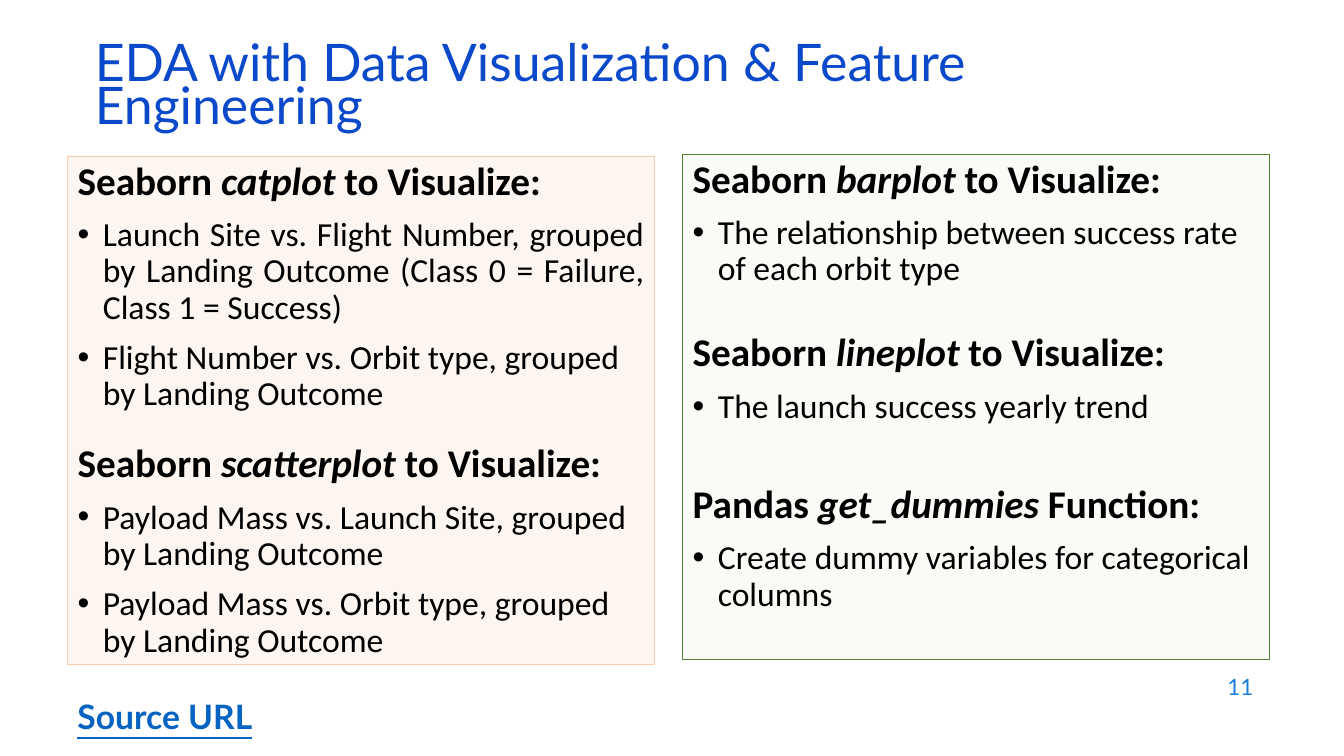
from lxml.etree import SubElement
from pptx import Presentation
from pptx.dml.color import RGBColor
from pptx.enum.text import MSO_ANCHOR, MSO_AUTO_SIZE, PP_ALIGN
from pptx.oxml.ns import qn
from pptx.util import Inches, Pt

TITLE_BLUE = RGBColor(0x0B, 0x49, 0xCB)
NUMBER_BLUE = RGBColor(0x1C, 0x7D, 0xDB)
LINK_BLUE = RGBColor(0x05, 0x63, 0xC1)
BLACK = RGBColor(0x00, 0x00, 0x00)
PEACH = RGBColor(0xFB, 0xE5, 0xD6)
PEACH_EDGE = RGBColor(0xF8, 0xCB, 0xAD)
MINT = RGBColor(0xE2, 0xF0, 0xD9)
GREEN_EDGE = RGBColor(0x54, 0x82, 0x35)

# Each section: space before, heading runs (plain, italic, plain), bullets
CATEGORY_SECTIONS = [
    (0, ("Seaborn ", "catplot", " to Visualize:"), [
        "Launch Site vs. Flight Number, grouped by Landing Outcome "
        "(Class 0 = Failure, Class 1 = Success)",
        "Flight Number vs. Orbit type, grouped by Landing Outcome"]),
    (22, ("Seaborn ", "scatterplot", " to Visualize:"), [
        "Payload Mass vs. Launch Site, grouped by Landing Outcome",
        "Payload Mass vs. Orbit type, grouped by Landing Outcome"]),
]
TREND_SECTIONS = [
    (0, ("Seaborn ", "barplot", " to Visualize:"), [
        "The relationship between success rate of each orbit type"]),
    (32, ("Seaborn ", "lineplot", " to Visualize:"), [
        "The launch success yearly trend"]),
    (42, ("Pandas ", "get_dummies ", "Function:"), [
        "Create dummy variables for categorical columns"]),
]


class SlideBuilder:
    heading_font = "Lato"
    body_font = "Calibri"
    heading_size = 28
    bullet_size = 24

    def __init__(self, slide):
        self.slide = slide

    def place(self, shape, left, top, width, height, anchor=MSO_ANCHOR.TOP):
        shape.left, shape.top = Inches(left), Inches(top)
        shape.width, shape.height = Inches(width), Inches(height)
        frame = shape.text_frame
        frame.word_wrap = True
        frame.auto_size = MSO_AUTO_SIZE.NONE
        frame.vertical_anchor = anchor
        return frame

    def add_run(self, paragraph, text, font, size, color,
                bold=False, italic=False, underline=False):
        run = paragraph.add_run()
        run.text = text
        run.font.name = font
        run.font.size = Pt(size)
        run.font.color.rgb = color
        run.font.bold = bold
        run.font.italic = italic
        run.font.underline = underline

    def title(self, text, *box):
        frame = self.place(self.slide.shapes.title, *box, MSO_ANCHOR.MIDDLE)
        line = frame.paragraphs[0]
        line.alignment = PP_ALIGN.LEFT
        line.line_spacing = 0.7
        self.add_run(line, text, self.heading_font, 37, TITLE_BLUE)

    def label(self, text, box, size, color, align=PP_ALIGN.LEFT,
              anchor=MSO_ANCHOR.TOP, spacing=1.0, **style):
        holder = self.slide.shapes.add_textbox(0, 0, 0, 0)
        line = self.place(holder, *box, anchor).paragraphs[0]
        line.alignment = align
        line.line_spacing = spacing
        self.add_run(line, text, self.heading_font, size, color, **style)

    def list_line(self, frame, space_before, bulleted):
        first = frame.paragraphs[0]
        line = frame.add_paragraph() if first.runs else first
        line.alignment = PP_ALIGN.LEFT
        line.line_spacing = 0.9
        line.space_before = Pt(space_before)
        properties = line._p.get_or_add_pPr()
        indent = Inches(0.25) if bulleted else 0
        properties.set("marL", str(indent))
        properties.set("indent", str(-indent))
        if bulleted:
            SubElement(properties, qn("a:buFont"), typeface="Arial")
            SubElement(properties, qn("a:buChar"), char="•")
        else:
            SubElement(properties, qn("a:buNone"))
        return line

    def panel(self, body, box, fill, opacity, edge, sections):
        frame = self.place(body, *box)
        body.fill.solid()
        body.fill.fore_color.rgb = fill
        tint = body._element.spPr.find(qn("a:solidFill"))[0]
        SubElement(tint, qn("a:alpha"), val=str(opacity * 1000))
        body.line.color.rgb = edge
        body.line.width = Pt(0.75)
        for gap, heading, bullets in sections:
            line = self.list_line(frame, gap, False)
            for position, words in enumerate(heading):
                self.add_run(line, words, self.body_font, self.heading_size,
                             BLACK, bold=True, italic=position == 1)
            for bullet in bullets:
                line = self.list_line(frame, 10, True)
                self.add_run(line, bullet, self.body_font,
                             self.bullet_size, BLACK)


def main():
    deck = Presentation()
    deck.slide_width, deck.slide_height = Inches(13.33), Inches(7.5)
    slide = deck.slides.add_slide(deck.slide_layouts.get_by_name("Two Content"))
    builder = SlideBuilder(slide)
    category_body, trend_body = list(slide.placeholders)[1:3]

    # Title
    builder.title("EDA with Data Visualization & Feature Engineering",
                  0.84, 0.59, 11.5, 0.6)

    # Two panels of plots and functions
    builder.panel(category_body, (0.67, 1.55, 5.82, 5.04),
                  PEACH, 37, PEACH_EDGE, CATEGORY_SECTIONS)
    builder.panel(trend_body, (6.77, 1.53, 5.82, 5.01),
                  MINT, 23, GREEN_EDGE, TREND_SECTIONS)
    # The first bullet is the only justified one
    category_body.text_frame.paragraphs[1].alignment = PP_ALIGN.JUSTIFY

    # Footer: source label and page number
    builder.label("Source URL", (0.67, 6.65, 2.08, 0.7), 24, LINK_BLUE,
                  spacing=1.5, bold=True, underline=True)
    builder.label("11", (9.53, 6.59, 3, 0.44), 16, NUMBER_BLUE,
                  align=PP_ALIGN.RIGHT, anchor=MSO_ANCHOR.MIDDLE)

    deck.save("out.pptx")


if __name__ == "__main__":
    main()
